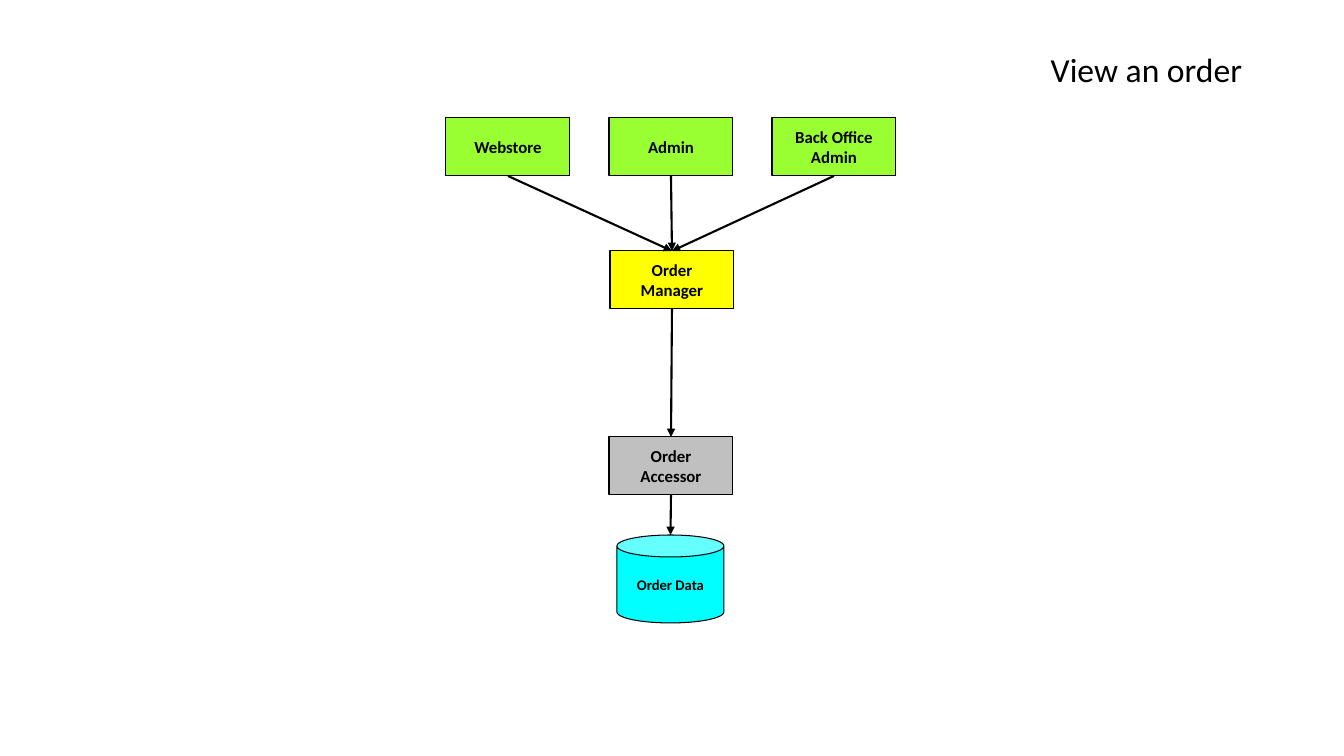
from pptx import Presentation
from pptx.dml.color import RGBColor
from pptx.enum.shapes import MSO_CONNECTOR, MSO_SHAPE
from pptx.enum.text import MSO_ANCHOR, PP_ALIGN
from pptx.oxml.ns import qn
from pptx.util import Emu, Pt
from lxml.etree import SubElement

BLACK = RGBColor(0x00, 0x00, 0x00)
GREEN = RGBColor(0x99, 0xFF, 0x33)
YELLOW = RGBColor(0xFF, 0xFF, 0x00)
GRAY = RGBColor(0xC0, 0xC0, 0xC0)
CYAN = RGBColor(0x00, 0xFF, 0xFF)

PIXEL = 914400 / 100.8
BOX_WIDTH, BOX_HEIGHT = 124, 58
CLIENT_LEFT, CLIENT_TOP, CLIENT_STEP = 446, 118, 163
TOP_SITE, BOTTOM_SITE, CAN_TOP_SITE = 0, 2, 1


def pixels(*lengths):
    return [Emu(round(length * PIXEL)) for length in lengths]


def write(shape, text, size=12, bold=True, align=PP_ALIGN.CENTER, spacing=1.0, wrap=True):
    frame = shape.text_frame
    frame.word_wrap = wrap
    frame.vertical_anchor = MSO_ANCHOR.MIDDLE
    frame.text = text
    for para in frame.paragraphs:
        para.alignment = align
        para.line_spacing = spacing
        for span in para.runs:
            span.font.name = "Calibri"
            span.font.size = Pt(size)
            span.font.bold = bold
            span.font.color.rgb = BLACK


class Diagram:
    def __init__(self, page):
        self.page = page
        self.line_color = BLACK
        self.outline_width = Pt(0.75)
        self.arrow_width = Pt(1.5)

    def title(self, text, left, top, width, height):
        box = self.page.shapes.add_textbox(*pixels(left, top, width, height))
        write(box, text, size=24, bold=False, align=PP_ALIGN.RIGHT, spacing=0.9)

    def node(self, text, left, top, fill, width=BOX_WIDTH, height=BOX_HEIGHT,
             preset=MSO_SHAPE.RECTANGLE, **text_format):
        shape = self.page.shapes.add_shape(preset, *pixels(left, top, width, height))
        shape.shadow.inherit = False
        shape.fill.solid()
        shape.fill.fore_color.rgb = fill
        shape.line.color.rgb = self.line_color
        shape.line.width = self.outline_width
        write(shape, text, **text_format)
        return shape

    def arrow(self, source, target, target_site=TOP_SITE):
        connector = self.page.shapes.add_connector(MSO_CONNECTOR.STRAIGHT, 0, 0, 0, 0)
        connector.begin_connect(source, BOTTOM_SITE)
        connector.end_connect(target, target_site)
        connector.end_x = target.left + target.width // 2
        connector.end_y = target.top
        connector.line.color.rgb = self.line_color
        connector.line.width = self.arrow_width
        properties = connector.element.spPr
        SubElement(properties.find(qn("a:ln")), qn("a:tailEnd"), type="triangle")
        SubElement(properties, qn("a:effectLst"))


deck = Presentation()
deck.slide_width, deck.slide_height = pixels(1344, 756)
diagram = Diagram(deck.slides.add_slide(deck.slide_layouts[6]))

diagram.title("View an order", 93, 40, 1159, 64)

clients = [
    diagram.node(name, CLIENT_LEFT + index * CLIENT_STEP, CLIENT_TOP, GREEN, wrap=False)
    for index, name in enumerate(["Webstore", "Admin", "Back Office\nAdmin"])
]
manager = diagram.node("Order Manager", 610, 251, YELLOW)
accessor = diagram.node("Order Accessor", 609, 437, GRAY)
order_data = diagram.node("Order Data", 617, 535, CYAN, width=107, height=88,
                          preset=MSO_SHAPE.CAN, size=10.5)

for client in clients:
    diagram.arrow(client, manager)
diagram.arrow(manager, accessor)
diagram.arrow(accessor, order_data, CAN_TOP_SITE)

deck.save("out.pptx")
